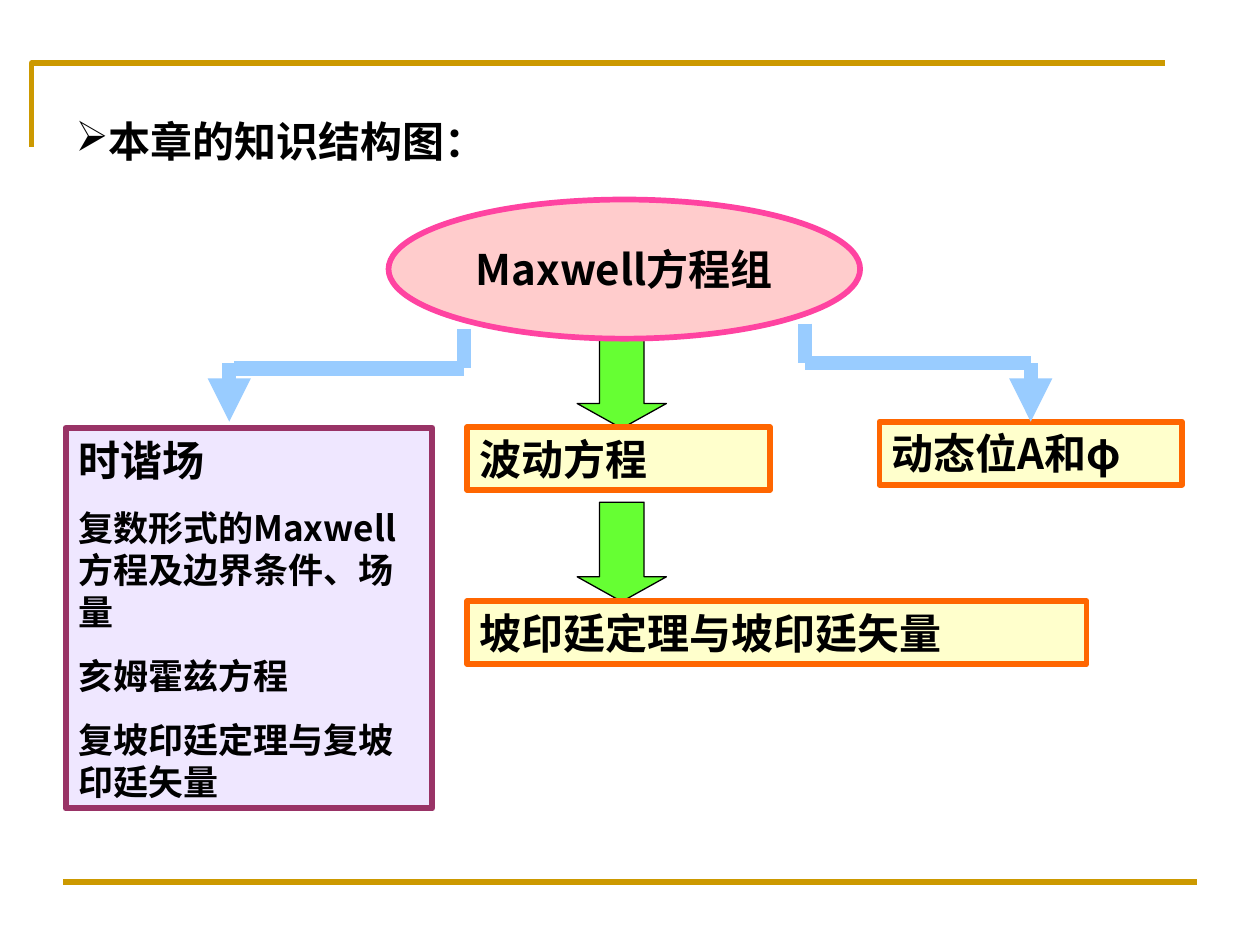
from dataclasses import dataclass

import pptx
import pptx.dml.color
import pptx.enum.shapes
import pptx.enum.text
import pptx.oxml.ns
import pptx.util
from lxml import etree

Pt = pptx.util.Pt
SHAPES = pptx.enum.shapes.MSO_SHAPE
ALIGN = pptx.enum.text.PP_ALIGN
ANCHOR = pptx.enum.text.MSO_ANCHOR
AUTO_SIZE = pptx.enum.text.MSO_AUTO_SIZE
FONT = "Noto Sans CJK SC"
COLORS = {
    "text": "000000", "frame": "CC9900", "link": "99CCFF", "arrow": "66FF33",
    "topic": "FFFFCC", "topic_edge": "FF6600", "field": "E3D5FF",
    "field_edge": "993366", "root": "FFCCCC", "root_edge": "FF43A1",
}


@dataclass
class Node:
    """A filled shape of the diagram; lengths in points."""
    left: float
    top: float
    width: float
    height: float
    fill: str
    edge: str
    weight: float = 3.25
    kind: SHAPES = SHAPES.RECTANGLE


@dataclass
class Link:
    """A straight line of the diagram; lengths in points."""
    x1: float
    y1: float
    x2: float
    y2: float
    color: str = "link"
    weight: float = 8.25
    arrow: bool = False


def rgb(name: str) -> pptx.dml.color.RGBColor:
    return pptx.dml.color.RGBColor.from_string(COLORS[name])


def add_tag(parent, tag: str, **attributes: str):
    return etree.SubElement(parent, pptx.oxml.ns.qn(tag), **attributes)


def set_line(line, color: str, weight: float) -> None:
    line.color.rgb = rgb(color)
    line.width = Pt(weight)


def write_text(shape, texts, sizes=(24,), gap=0, align=ALIGN.LEFT,
               anchor=ANCHOR.TOP, wrap=True, spacing=None, bullet=None) -> None:
    frame = shape.text_frame
    frame.word_wrap = wrap
    frame.auto_size = AUTO_SIZE.SHAPE_TO_FIT_TEXT
    frame.vertical_anchor = anchor
    for index, text in enumerate(texts):
        para = frame.add_paragraph() if index else frame.paragraphs[0]
        para.alignment = align
        para.space_before = Pt(gap if index else 0)
        if spacing:
            para.line_spacing = spacing
        if bullet:
            properties = para._p.get_or_add_pPr()
            color = add_tag(properties, "a:buClr")
            add_tag(color, "a:srgbClr", val=COLORS["text"])
            add_tag(properties, "a:buChar", char=bullet)
        span = para.add_run()
        span.text = text
        span.font.size = Pt(sizes[min(index, len(sizes) - 1)])
        span.font.bold = True
        span.font.color.rgb = rgb("text")
        span.font.name = FONT
        add_tag(span.font._element, "a:ea", typeface=FONT)


def draw_node(page, node: Node):
    shape = page.shapes.add_shape(node.kind, Pt(node.left), Pt(node.top),
                                  Pt(node.width), Pt(node.height))
    shape.shadow.inherit = False
    shape.fill.solid()
    shape.fill.fore_color.rgb = rgb(node.fill)
    set_line(shape.line, node.edge, node.weight)
    return shape


def draw_link(page, link: Link):
    line = page.shapes.add_connector(
        pptx.enum.shapes.MSO_CONNECTOR.STRAIGHT,
        Pt(link.x1), Pt(link.y1), Pt(link.x2), Pt(link.y2))
    set_line(line.line, link.color, link.weight)
    if link.arrow:
        add_tag(line.line._get_or_add_ln(), "a:tailEnd", type="triangle")
    add_tag(line._element.spPr, "a:effectLst")
    return line


def draw_frame(page) -> None:
    builder = page.shapes.build_freeform(Pt(18), Pt(84), scale=1.0)
    builder.add_line_segments([(Pt(18), Pt(36)), (Pt(666), Pt(36))], close=False)
    corner = builder.convert_to_shape()
    corner.shadow.inherit = False
    corner.fill.background()
    set_line(corner.line, "frame", 3)
    draw_link(page, Link(36, 504, 684, 504, "frame", 3))


def draw_title(page) -> None:
    title = page.shapes.title
    title.left, title.top, title.width, title.height = (
        Pt(36), Pt(54), Pt(654), Pt(44.6))
    write_text(title, ["本章的知识结构图："], spacing=1.3, bullet="➢")


def draw_diagram(page) -> None:
    # Middle branch: green arrows, each leading to a topic
    for top in (188, 287):
        arrow = draw_node(page, Node(329.8, top, 51, 56.8, "arrow", "text",
                                     0.75, SHAPES.DOWN_ARROW))
        arrow.adjustments[0], arrow.adjustments[1] = 0.5, 0.278

    # Topics
    topics = {}
    for text, left, top, width in (
            ("波动方程", 267, 244, 173),
            ("动态位A和φ", 502.5, 241, 173),
            ("坡印廷定理与坡印廷矢量", 267, 343.5, 354)):
        topics[text] = draw_node(
            page, Node(left, top, width, 36, "topic", "topic_edge"))
        write_text(topics[text], [text])

    # Right branch
    draw_link(page, Link(460, 185, 460, 207.5))
    draw_link(page, Link(460, 207.5, 589, 207.5))
    right_end = draw_link(page, Link(589, 207.5, 589, 241, arrow=True))
    right_end.end_connect(topics["动态位A和φ"], 0)

    # Left branch
    draw_link(page, Link(265, 188, 265, 210.5))
    draw_link(page, Link(134, 210.5, 265, 210.5))
    draw_link(page, Link(131, 207.5, 131, 241, arrow=True))

    # Time-harmonic field
    field = draw_node(page, Node(37.5, 244.5, 209.5, 217.5,
                                 "field", "field_edge", 3.5))
    color = field.fill._xPr.find(".//" + pptx.oxml.ns.qn("a:srgbClr"))
    add_tag(color, "a:alpha", val="57000")
    write_text(field, ["时谐场", "复数形式的Maxwell方程及边界条件、场量",
                       "亥姆霍兹方程", "复坡印廷定理与复坡印廷矢量"],
               sizes=(24, 20), gap=12.5)

    # Root of the diagram
    root = draw_node(page, Node(222, 114, 269.5, 79.5, "root", "root_edge",
                                kind=SHAPES.OVAL))
    write_text(root, ["Maxwell方程组"], align=ALIGN.CENTER,
               anchor=ANCHOR.MIDDLE, wrap=False)


def main() -> None:
    deck = pptx.Presentation()
    deck.slide_width, deck.slide_height = Pt(720), Pt(540)
    page = deck.slides.add_slide(deck.slide_layouts[5])
    draw_frame(page)
    draw_title(page)
    draw_diagram(page)
    deck.save("out.pptx")


if __name__ == "__main__":
    main()
